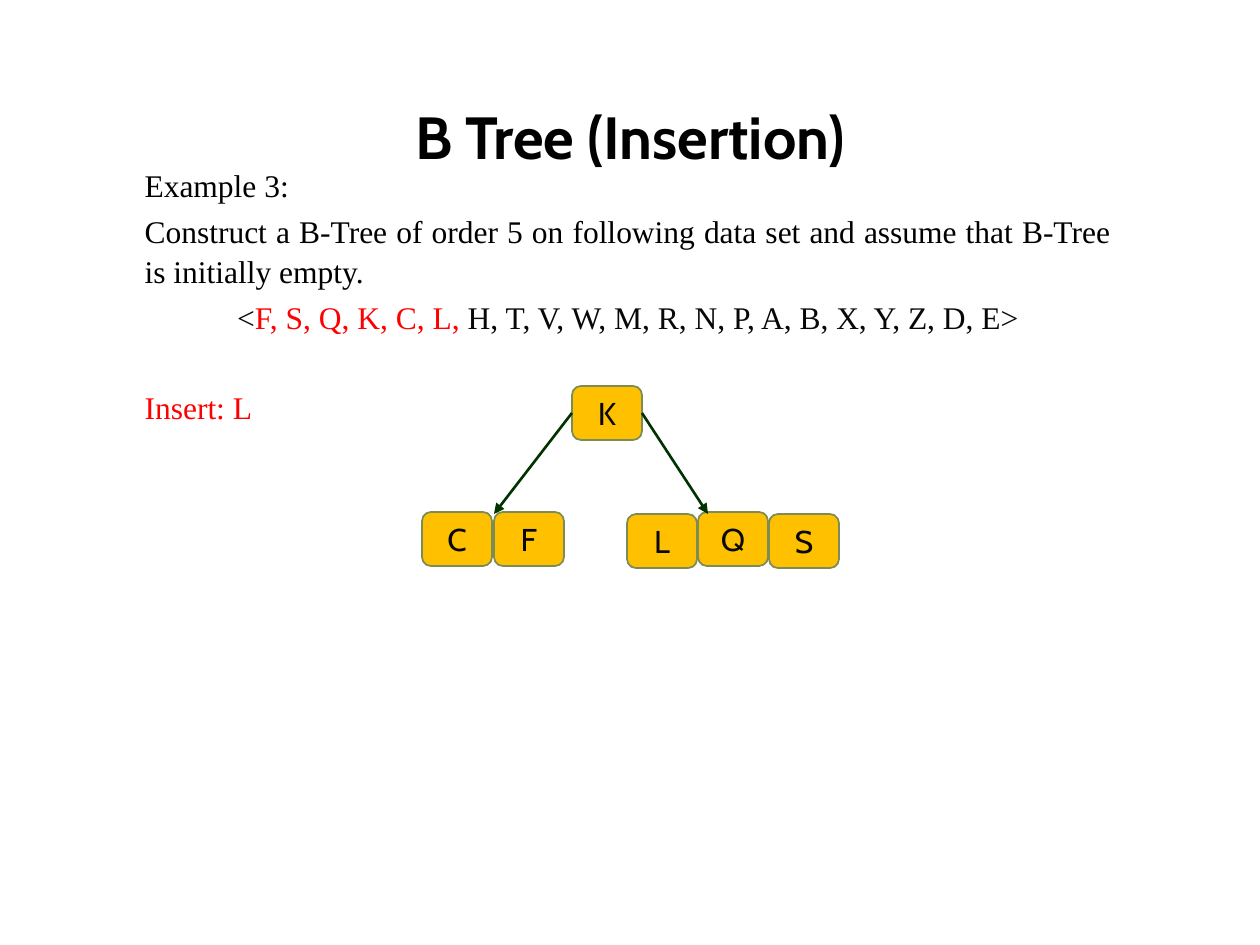
from pptx import Presentation
from pptx import util as u
from pptx.dml.color import RGBColor
from pptx.enum import shapes, text
from pptx.oxml.ns import qn
from lxml import etree

AL = text.PP_ALIGN
THEME = {
    "title_font": "Cabin", "body_font": "Times New Roman",
    "title_size": 34, "size": 18,
    "title": "000000", "text": "080808", "accent": "FF0000",
    "node": "FFC000", "border": "7B8D55", "arrow": "003300",
}

TITLE = "B Tree (Insertion)"
# alignment, space before in points, runs of (text, colour)
BODY = [
    (AL.JUSTIFY, 3.6, [("Example 3:", "title")]),
    (AL.JUSTIFY, 3.6, [("Construct a B-Tree of order 5 on following data set "
                        "and assume that B-Tree is initially empty.", "title")]),
    (AL.CENTER, 3.6, [("<", "text"), ("F, S, Q, K, C, L, ", "accent"),
                      ("H, T, V, W, M, R, N, P, A, B, X, Y, Z, D, E>", "text")]),
    (AL.LEFT, 28.9, [("Insert: L", "accent")]),
]
# left of first key, pitch, (key, top) pairs
TREE = [
    (572, 70, [("K", 386)]),
    (422, 72, [("C", 512), ("F", 512)]),
    (627, 71, [("L", 514), ("Q", 512), ("S", 514)]),
]
KEY_W, KEY_H = 70, 54
# side of the root, arrow tip
ARROWS = [(1, (494, 514)), (3, (708, 514))]


def px(n):
    return u.Emu(n * u.Inches(1) // 126)


def color(name):
    return RGBColor.from_string(THEME[name])


def place(sp, *box):
    sp.left, sp.top, sp.width, sp.height = map(px, box)


def style(font, face, size, name=None):
    font.name, font.size = THEME[face], u.Pt(THEME[size])
    if name:
        font.color.rgb = color(name)


def add_title(s):
    sp = s.shapes.title
    place(sp, 63, 86, 1134, 100)
    sp.text_frame.text = TITLE
    p = sp.text_frame.paragraphs[0]
    p.alignment = AL.CENTER
    style(p.font, "title_font", "title_size", "title")
    p.font.bold = True


def add_body(s):
    sp = s.placeholders[1]
    place(sp, 132, 158, 992, 639)
    tf = sp.text_frame
    tf.auto_size = text.MSO_AUTO_SIZE.NONE
    for i, (align, before, runs) in enumerate(BODY):
        p = tf.add_paragraph() if i else tf.paragraphs[0]
        p.alignment, p.space_before, p.line_spacing = align, u.Pt(before), 1.05
        style(p.font, "body_font", "size")
        pPr = p._p.get_or_add_pPr()
        pPr.set("marL", "0")
        pPr.set("indent", "0")
        pPr.insert_element_before(etree.Element(qn("a:buNone")), "a:tabLst", "a:defRPr")
        for words, name in runs:
            r = p.add_run()
            r.text = words
            r.font.color.rgb = color(name)


def add_key(s, key, x, y):
    sp = s.shapes.add_shape(shapes.MSO_SHAPE.ROUNDED_RECTANGLE,
                            px(x), px(y), px(KEY_W), px(KEY_H))
    sp.shadow.inherit = False
    sp.fill.solid()
    sp.fill.fore_color.rgb = color("node")
    sp.line.color.rgb = color("border")
    sp.line.width = u.Pt(1)
    tf = sp.text_frame
    tf.text = key
    tf.vertical_anchor = text.MSO_ANCHOR.MIDDLE
    p = tf.paragraphs[0]
    p.alignment = AL.CENTER
    style(p.font, "title_font", "size", "text")
    return sp


def add_arrow(s, root, side, tip):
    x, y = map(px, tip)
    c = s.shapes.add_connector(shapes.MSO_CONNECTOR.STRAIGHT, x, y, x, y)
    c.begin_connect(root, side)
    c.line.color.rgb = color("arrow")
    c.line.width = u.Pt(1.5)
    etree.SubElement(c.line._get_or_add_ln(), qn("a:tailEnd"), type="triangle")
    etree.SubElement(c._element.spPr, qn("a:effectLst"))


def main():
    prs = Presentation()
    prs.slide_width, prs.slide_height = u.Inches(10), u.Inches(7.5)
    s = prs.slides.add_slide(prs.slide_layouts[1])
    add_title(s)
    add_body(s)
    keys = {key: add_key(s, key, left + i * pitch, top)
            for left, pitch, node in TREE
            for i, (key, top) in enumerate(node)}
    for side, tip in ARROWS:
        add_arrow(s, keys["K"], side, tip)
    prs.save("out.pptx")


if __name__ == "__main__":
    main()
